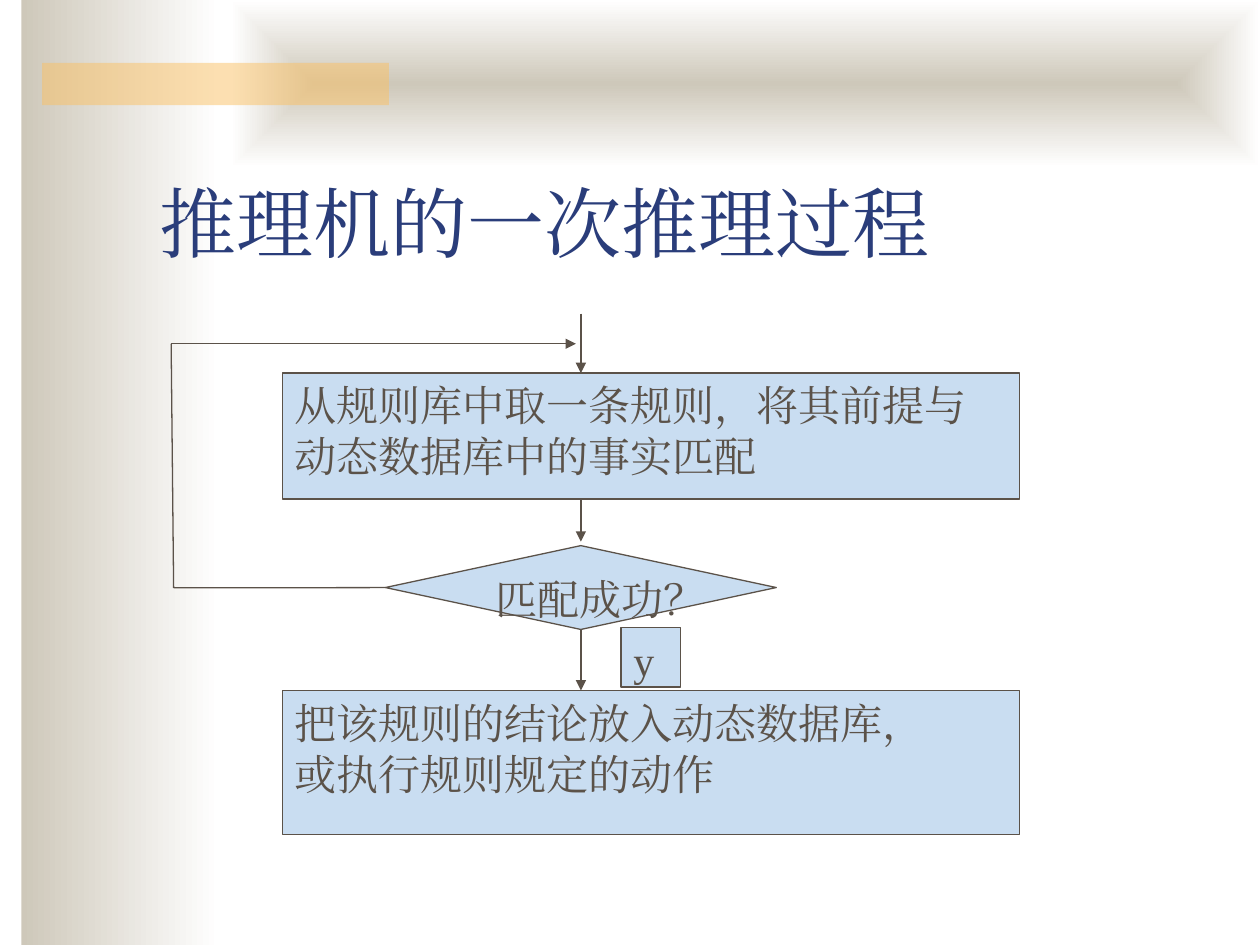
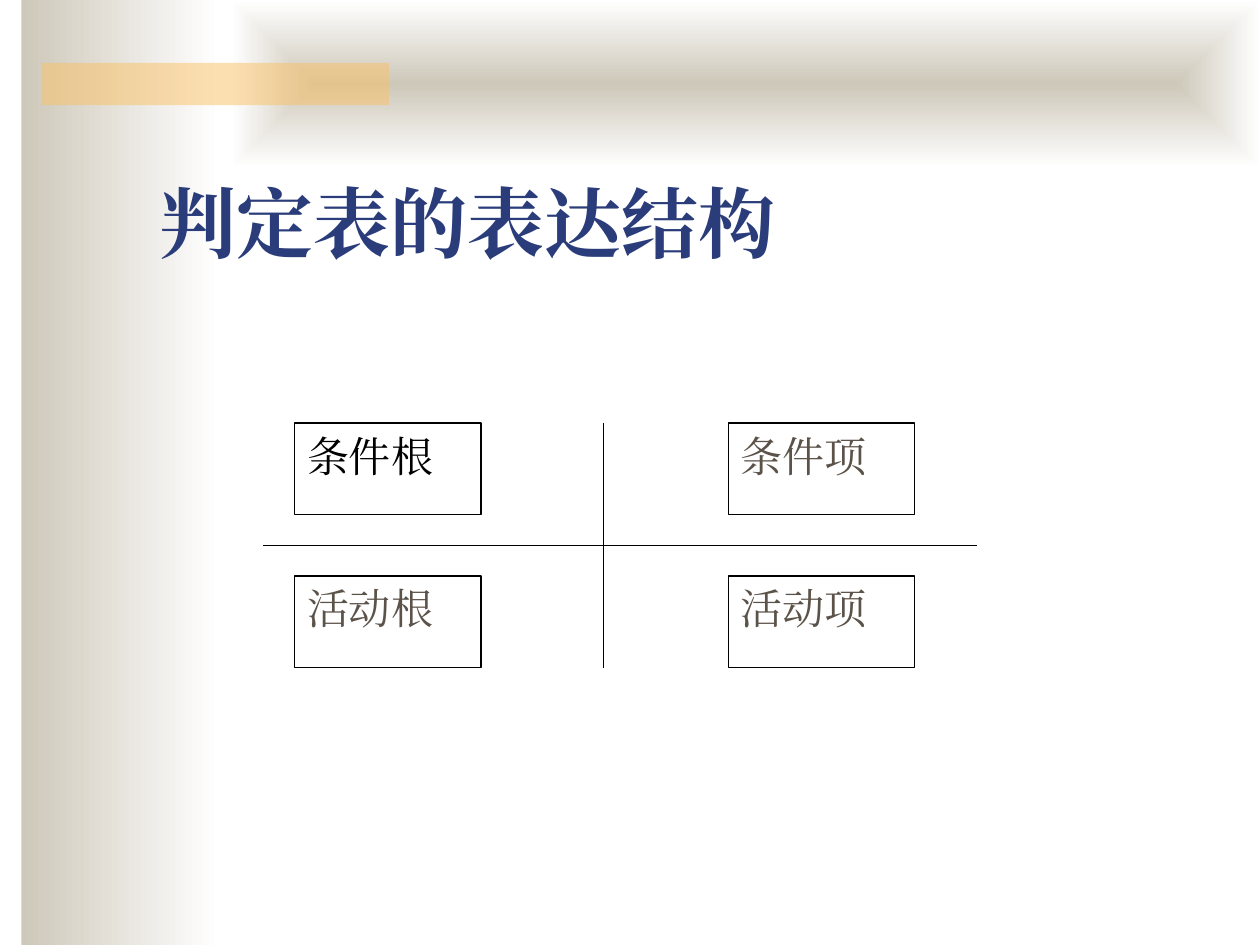
"""Builds two slides: an inference flowchart and the structure of a decision table."""
from dataclasses import dataclass
from typing import Optional

from lxml import etree
from pptx import Presentation
from pptx import util as u
from pptx.dml.color import RGBColor
from pptx.enum import shapes, text
from pptx.oxml import ns

COLOURS = {
    "title": "2A3D7A",
    "body": "5B5249",
    "node": "C9DDF1",
    "sand": "CEC8BA",
    "amber": "FAC164",
    "white": "FFFFFF",
    "black": "000000",
}
SERIF = "Times New Roman"
SANS = "Noto Sans CJK SC"
RECTANGLE = shapes.MSO_SHAPE.RECTANGLE
DECISION = shapes.MSO_SHAPE.FLOWCHART_DECISION
FLOW_X = 11.71


@dataclass
class Box:
    left: float
    top: float
    width: float
    height: float
    lines: tuple = ()
    fill: str = "node"
    line: Optional[str] = "body"
    colour: str = "body"
    font: str = SERIF
    align: text.PP_ALIGN = text.PP_ALIGN.LEFT
    kind: shapes.MSO_SHAPE = RECTANGLE
    wrap: bool = True


@dataclass
class Line:
    x1: float
    y1: float
    x2: float
    y2: float
    colour: str = "body"
    arrow: bool = False


def rgb(name: str) -> RGBColor:
    """Return a named colour."""
    return RGBColor.from_string(COLOURS[name])


def add_para(frame, index: int, words: str, size: float, colour: str, font: str, bold: bool = False):
    """Write one paragraph of a text frame and return it."""
    para = frame.add_paragraph() if index else frame.paragraphs[0]
    span = para.add_run()
    span.text = words
    span.font.size = u.Pt(size)
    span.font.name = font
    span.font.bold = bold
    span.font.color.rgb = rgb(colour)
    etree.SubElement(span.font._element, ns.qn("a:ea"), typeface=SERIF)
    return para


def draw_box(page, box: Box):
    """Draw a filled shape with its lines of text."""
    shape = page.shapes.add_shape(
        box.kind, u.Cm(box.left), u.Cm(box.top), u.Cm(box.width), u.Cm(box.height))
    shape.shadow.inherit = False
    shape.fill.solid()
    shape.fill.fore_color.rgb = rgb(box.fill)
    if box.line:
        shape.line.color.rgb = rgb(box.line)
        shape.line.width = u.Pt(0.75)
    else:
        shape.line.fill.background()
    frame = shape.text_frame
    frame.word_wrap = box.wrap
    frame.vertical_anchor = text.MSO_ANCHOR.TOP
    for index, words in enumerate(box.lines):
        para = add_para(frame, index, words, 24, box.colour, box.font)
        para.alignment = box.align
        para.line_spacing = u.Pt(29.2)
    return shape


def draw_line(page, line: Line):
    """Draw a straight line, with an arrowhead at its end if asked."""
    connector = page.shapes.add_connector(
        shapes.MSO_CONNECTOR.STRAIGHT,
        u.Cm(line.x1), u.Cm(line.y1), u.Cm(line.x2), u.Cm(line.y2))
    connector.line.color.rgb = rgb(line.colour)
    connector.line.width = u.Pt(0.75)
    if line.arrow:
        etree.SubElement(connector.line._get_or_add_ln(), ns.qn("a:tailEnd"), type="triangle")
    etree.SubElement(connector._element.spPr, ns.qn("a:effectLst"))
    return connector


def set_gradient(shape, centred: bool = False) -> None:
    """Fade a shape from sand to white, sideways or out from its centre."""
    shape.fill.gradient()
    shape.fill.gradient_angle = 0
    for stop, name in zip(shape.fill.gradient_stops, ("sand", "white")):
        stop.color.rgb = rgb(name)
    if centred:
        linear = shape._element.spPr.find(".//" + ns.qn("a:lin"))
        gradient = linear.getparent()
        gradient.remove(linear)
        rings = etree.SubElement(gradient, ns.qn("a:path"))
        rings.set("path", "rect")
        half = dict.fromkeys("ltrb", "50000")
        etree.SubElement(rings, ns.qn("a:fillToRect"), half)


def add_page(deck, title: str, bold: bool = False):
    """Add a blank slide with the shared bands and a title."""
    page = deck.slides.add_slide(deck.slide_layouts[6])
    set_gradient(draw_box(page, Box(0.43, 0, 4.01, 19.05, line=None)))
    set_gradient(draw_box(page, Box(4.65, 0, 20.75, 3.38, line=None)), centred=True)
    accent = draw_box(page, Box(0.85, 1.27, 6.99, 0.85, fill="amber", line=None))
    tint = accent._element.spPr.find(".//" + ns.qn("a:srgbClr"))
    etree.SubElement(tint, ns.qn("a:alpha"), val="50000")
    heading = page.shapes.add_textbox(u.Cm(2.97), u.Cm(2.34), u.Cm(21.59), u.Cm(3.18))
    heading.text_frame.word_wrap = True
    heading.text_frame.vertical_anchor = text.MSO_ANCHOR.BOTTOM
    add_para(heading.text_frame, 0, title, 44, "title", SERIF, bold)
    return page


def build_flowchart(deck) -> None:
    """Draw one inference cycle as a flowchart."""
    page = add_page(deck, "推理机的一次推理过程")
    draw_box(page, Box(5.69, 7.52, 14.86, 2.54,
                       ("从规则库中取一条规则，将其前提与", "动态数据库中的事实匹配")))
    decision = draw_box(page, Box(7.77, 11, 7.88, 1.69, ("匹配成功？",),
                                  kind=DECISION, wrap=False))
    draw_box(page, Box(5.69, 13.92, 14.86, 2.9,
                       ("把该规则的结论放入动态数据库，", "或执行规则规定的动作")))
    draw_box(page, Box(12.52, 12.65, 1.2, 1.2, ("y",)))
    for top, bottom in ((6.32, 7.52), (10.06, 10.92)):
        draw_line(page, Line(FLOW_X, top, FLOW_X, bottom, arrow=True))
    success = draw_line(page, Line(FLOW_X, 12.69, FLOW_X, 13.92, arrow=True))
    success.begin_connect(decision, 2)
    retry = draw_line(page, Line(7.77, 11.85, 3.5, 11.85))
    retry.begin_connect(decision, 1)
    draw_line(page, Line(3.5, 11.85, 3.45, 6.93))
    draw_line(page, Line(3.45, 6.93, 11.61, 6.93, arrow=True))


def build_decision_table(deck) -> None:
    """Draw the four quarters of a decision table."""
    page = add_page(deck, "判定表的表达结构", bold=True)
    draw_box(page, Box(5.31, 7.92, 15.01, 6.15, fill="white", line=None))
    quarters = (("条件根", "条件项"), ("活动根", "活动项"))
    for top, row in zip((8.53, 11.61), quarters):
        for left, words in zip((5.94, 14.68), row):
            first = words == "条件根"
            draw_box(page, Box(left, top, 3.76, 1.85, (words,), "white", "black",
                               "black" if first else "body",
                               SANS if first else SERIF, text.PP_ALIGN.JUSTIFY))
    draw_line(page, Line(5.31, 11, 19.69, 11, "black"))
    draw_line(page, Line(12.17, 8.53, 12.17, 13.46, "black"))


def main() -> None:
    """Build and save the deck."""
    deck = Presentation()
    deck.slide_width, deck.slide_height = u.Cm(25.4), u.Cm(19.05)
    build_flowchart(deck)
    build_decision_table(deck)
    deck.save("out.pptx")


if __name__ == "__main__":
    main()
